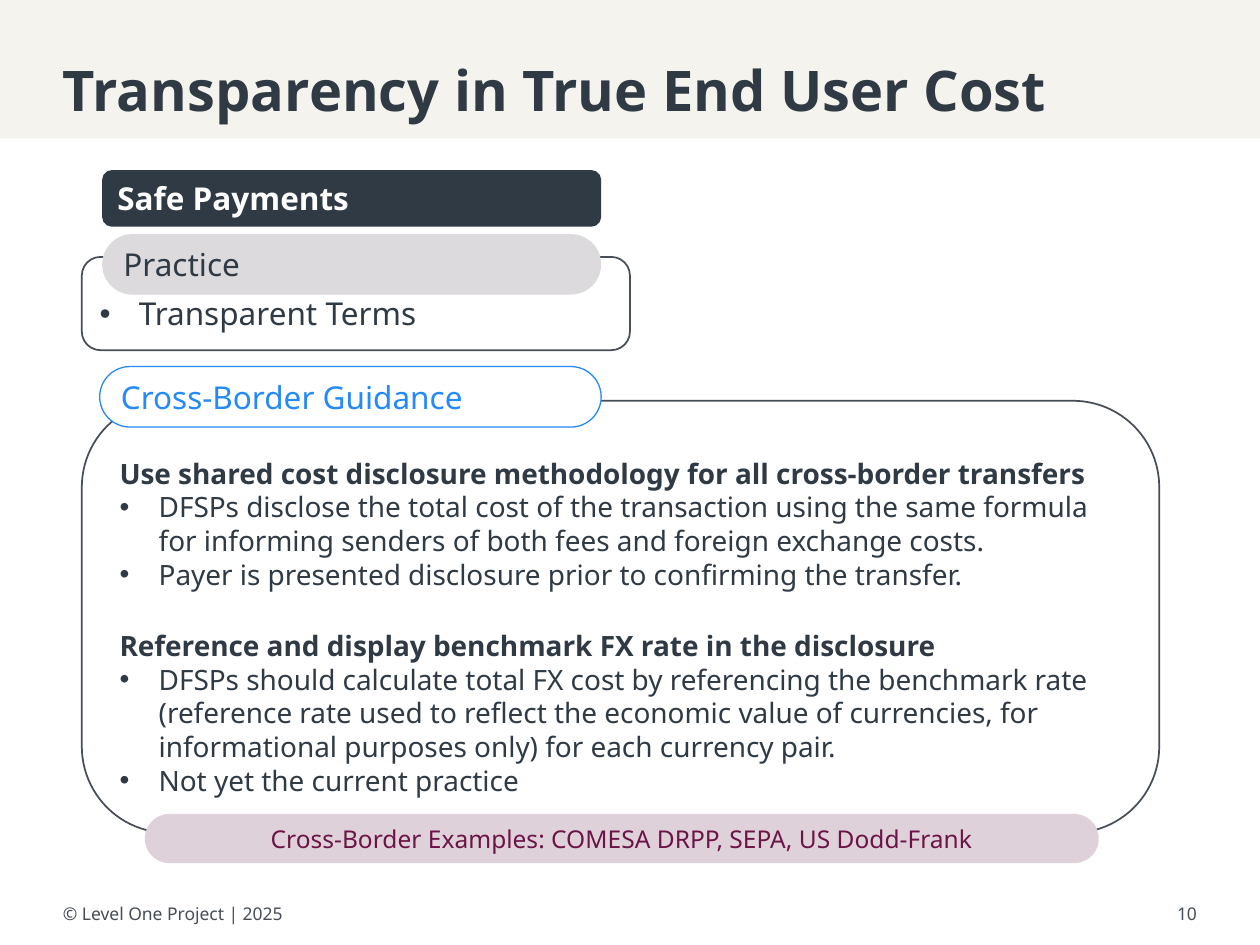
import pptx
import pptx.util
import pptx.dml.color
import pptx.enum.shapes
import pptx.enum.text
import lxml.etree
from pptx.oxml.ns import qn

Cm = pptx.util.Cm
Pt = pptx.util.Pt
RGBColor = pptx.dml.color.RGBColor
KIND = pptx.enum.shapes.MSO_SHAPE
ALIGN = pptx.enum.text.PP_ALIGN

DARK = RGBColor(0x30, 0x3A, 0x44)
GRAY = RGBColor(0x47, 0x4E, 0x56)
CREAM = RGBColor(0xF5, 0xF3, 0xED)
SILVER = RGBColor(0xDC, 0xDA, 0xDD)
BLUE = RGBColor(0x24, 0x8A, 0xF9)
ROSE = RGBColor(0xDF, 0xD1, 0xD9)
WINE = RGBColor(0x6C, 0x14, 0x46)
WHITE = RGBColor(0xFF, 0xFF, 0xFF)

deck = pptx.Presentation()
deck.slide_width, deck.slide_height = Cm(25.4), Cm(19.05)
slide = deck.slides.add_slide(deck.slide_layouts[6])


def panel(place, fill=None, line=None, width=1, round=None, inset=(0.25, 0.05, 0.25, 0.05)):
    """Add a plain or rounded rectangle and return its text frame."""
    kind = KIND.RECTANGLE if round is None else KIND.ROUNDED_RECTANGLE
    shape = slide.shapes.add_shape(kind, *map(Cm, place))
    shape.shadow.inherit = False
    if round is not None:
        shape.adjustments[0] = round
    if fill is None:
        shape.fill.background()
    else:
        shape.fill.solid()
        shape.fill.fore_color.rgb = fill
    if line is None:
        shape.line.fill.background()
    else:
        shape.line.color.rgb = line
        shape.line.width = Pt(width)
    frame = shape.text_frame
    frame.margin_left, frame.margin_top, frame.margin_right, frame.margin_bottom = map(Cm, inset)
    return frame


def write(frame, text, size=18, color=DARK, bold=False, align=ALIGN.LEFT,
          bullet=False, before=0, spacing=None):
    """Write one paragraph, using the empty first one if there is one."""
    frame.word_wrap = True
    frame.vertical_anchor = pptx.enum.text.MSO_ANCHOR.MIDDLE
    para = frame.paragraphs[0]
    if para.runs:
        para = frame.add_paragraph()
    para.alignment = align
    if before:
        para.space_before = Pt(before)
    if spacing:
        para.line_spacing = spacing
    if bullet:
        props = para._p.get_or_add_pPr()
        props.set("marL", str(Cm(0.79)))
        props.set("indent", str(-Cm(0.79)))
        tint = lxml.etree.SubElement(props, qn("a:buClr"))
        lxml.etree.SubElement(tint, qn("a:srgbClr")).set("val", str(DARK))
        lxml.etree.SubElement(props, qn("a:buFont")).set("typeface", "Arial")
        lxml.etree.SubElement(props, qn("a:buChar")).set("char", "•")
    run = para.add_run()
    run.text = text
    run.font.name = "Noto Sans"
    run.font.size = Pt(size)
    run.font.bold = bold
    run.font.color.rgb = color


# Title band
band = panel((0, 0, 25.4, 2.79), fill=CREAM, inset=(1.27, 1.27, 1.27, 0.3))
write(band, "Transparency in True End User Cost", size=32, bold=True, spacing=0.9)

# Footer and page number
for left, width, text, align in (
    (1.27, 5.28, "© Level One Project | 2025", ALIGN.LEFT),
    (22.86, 1.27, "10", ALIGN.RIGHT),
):
    foot = slide.shapes.add_textbox(Cm(left), Cm(17.78), Cm(width), Cm(1.27)).text_frame
    foot.margin_left = foot.margin_top = foot.margin_right = foot.margin_bottom = 0
    write(foot, text, size=10, color=GRAY, align=align)

# Practice panel with its two headings
frame = {"line": GRAY, "round": 0.2, "inset": (0.25, 0.64, 0.25, 0.25)}
terms = panel((1.65, 5.18, 11.05, 1.88), **frame)
write(terms, "Transparent Terms", bullet=True)
write(panel((2.06, 4.72, 10.06, 1.22), fill=SILVER, round=0.5), "Practice")
safe = panel((2.06, 3.43, 10.06, 1.14), fill=DARK, round=0.17)
write(safe, "Safe Payments", color=WHITE, bold=True)

# Guidance panel
guide = panel((1.65, 8.08, 21.72, 8.71), **frame)
topics = {
    "Use shared cost disclosure methodology for all cross-border transfers": (
        "DFSPs disclose the total cost of the transaction using the same formula "
        "for informing senders of both fees and foreign exchange costs.",
        "Payer is presented disclosure prior to confirming the transfer.",
    ),
    "Reference and display benchmark FX rate in the disclosure": (
        "DFSPs should calculate total FX cost by referencing the benchmark rate "
        "(reference rate used to reflect the economic value of currencies, for "
        "informational purposes only) for each currency pair.",
        "Not yet the current practice",
    ),
}
for rank, (head, points) in enumerate(topics.items()):
    write(guide, head, size=16, bold=True, before=21.8 * rank)
    for point in points:
        write(guide, point, size=16, bullet=True)

# Guidance heading and examples
label = panel((2.01, 7.39, 10.11, 1.22), fill=WHITE, line=BLUE, width=0.75, round=0.5)
write(label, "Cross-Border Guidance", color=BLUE)
cases = panel((2.92, 16.41, 19.23, 0.99), fill=ROSE, round=0.5)
write(cases, "Cross-Border Examples: COMESA DRPP, SEPA, US Dodd-Frank",
      size=14, color=WINE, align=ALIGN.CENTER)

deck.save("out.pptx")
